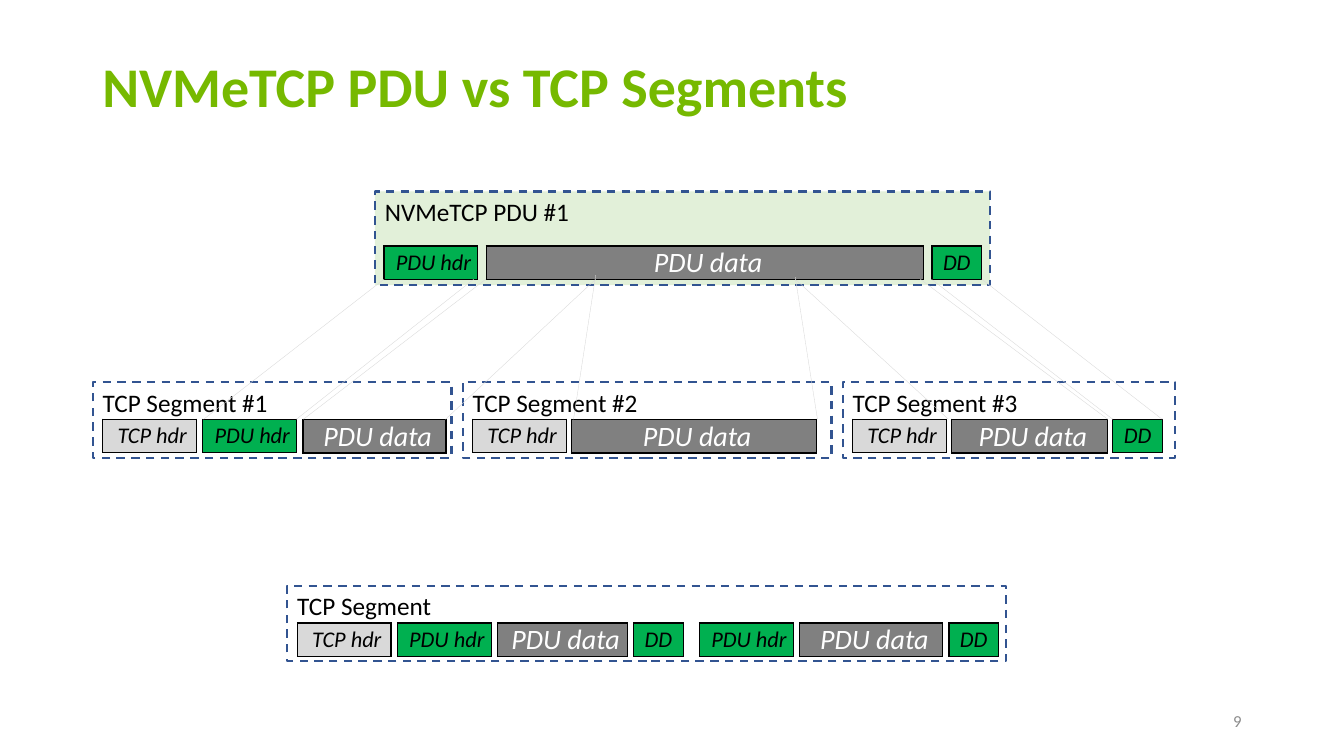
"""Builds the slide that compares an NVMeTCP PDU with TCP segments."""
from collections import namedtuple
from dataclasses import dataclass

from lxml import etree
from pptx import Presentation
from pptx import util as u
from pptx.dml.color import RGBColor
from pptx.enum import dml, shapes, text
from pptx.oxml import ns

COLUMNS, ROWS = 160, 90
UNIT = u.Inches(1) / 12
Box = namedtuple("Box", "left top width height")
Field = namedtuple("Field", "label width fill ink size anchor")


@dataclass(frozen=True)
class Theme:
    """Colours and type sizes of the slide."""
    font: str = "Calibri"
    title: str = "76B900"
    number: str = "8C8C8C"
    frame: str = "325491"
    pdu: str = "E2F0D9"
    green: str = "00B050"
    gray: str = "808080"
    pale: str = "D9D9D9"
    black: str = "000000"
    white: str = "FFFFFF"
    title_size: int = 40
    data_size: int = 20
    label_size: int = 18
    header_size: int = 16
    number_size: int = 12


THEME = Theme()
FIELD_HEIGHT = 4
TCP = Field(" TCP hdr", 11.16, THEME.pale, THEME.black, THEME.header_size, text.MSO_ANCHOR.MIDDLE)
HDR = TCP._replace(label=" PDU hdr", fill=THEME.green)
DIGEST = HDR._replace(label="DD", width=5.88)
GAP = Field("", 0.45, "", "", 0, None)


def data(width):
    """Return a PDU data field of the given width."""
    return Field(" PDU data", width, THEME.gray, THEME.white, THEME.data_size, text.MSO_ANCHOR.TOP)


def emu(*units):
    """Turn grid units into slide lengths."""
    return [u.Emu(round(unit * UNIT)) for unit in units]


def write(frame, words, size, color, align=text.PP_ALIGN.LEFT, bold=False, italic=False):
    """Put one styled paragraph in a text frame."""
    frame.word_wrap = True
    para = frame.paragraphs[0]
    para.text = words
    para.alignment = align
    font = para.runs[0].font
    font.name, font.size = THEME.font, u.Pt(size)
    font.bold, font.italic = bold, italic
    font.color.rgb = RGBColor.from_string(color)
    return para


def add_text(page, box, words, size, color, **style):
    """Place a vertically centred text box."""
    frame = page.shapes.add_textbox(*emu(*box)).text_frame
    frame.vertical_anchor = text.MSO_ANCHOR.MIDDLE
    return write(frame, words, size, color, **style)


def border(cell):
    """Draw a thin black line on every side of a cell."""
    props = cell._tc.get_or_add_tcPr()
    for place, side in enumerate(("lnL", "lnR", "lnT", "lnB")):
        line = etree.Element(ns.qn("a:" + side), w=str(u.Pt(1)))
        fill = etree.SubElement(line, ns.qn("a:solidFill"))
        etree.SubElement(fill, ns.qn("a:srgbClr"), val=THEME.black)
        props.insert(place, line)


def add_field(page, field, left, top):
    """Place one packet field as a single-cell table."""
    area = emu(left, top, field.width, FIELD_HEIGHT)
    table = page.shapes.add_table(1, 1, *area).table
    table.first_row = table.horz_banding = False
    cell = table.cell(0, 0)
    cell.margin_left = cell.margin_right = cell.margin_top = cell.margin_bottom = 0
    cell.vertical_anchor = field.anchor
    cell.fill.solid()
    cell.fill.fore_color.rgb = RGBColor.from_string(field.fill)
    border(cell)
    write(cell.text_frame, field.label, field.size, field.ink,
          align=text.PP_ALIGN.CENTER, italic=True)


def add_packet(page, box, label, fields, gap, drop=4.44, inset=1.2, fill=None):
    """Draw a dashed packet frame and lay its fields out from the left."""
    frame = page.shapes.add_shape(shapes.MSO_SHAPE.RECTANGLE, *emu(*box))
    frame.shadow.inherit = False
    if fill:
        frame.fill.solid()
        frame.fill.fore_color.rgb = RGBColor.from_string(fill)
    else:
        frame.fill.background()
    frame.line.color.rgb = RGBColor.from_string(THEME.frame)
    frame.line.width = u.Pt(1.5)
    frame.line.dash_style = dml.MSO_LINE.DASH
    frame.text_frame.vertical_anchor = text.MSO_ANCHOR.TOP
    write(frame.text_frame, label, THEME.label_size, THEME.black)
    left = box.left + inset
    for field in fields:
        if field.label:
            add_field(page, field, left, box.top + drop)
        left += field.width + gap


def add_links(page, box, links):
    """Join the PDU parts above the box to the segment parts below it."""
    for start, end, rise in links:
        ends = emu(box.left + start, box.top - rise, box.left + end, box.top + box.height)
        line = page.shapes.add_connector(shapes.MSO_CONNECTOR.STRAIGHT, *ends)
        line.line.color.rgb = RGBColor.from_string(THEME.pale)
        line.line.width = u.Pt(0.25)
        etree.SubElement(line._element.spPr, ns.qn("a:effectLst"))


def add_heading(page, box):
    """Write the slide title."""
    para = add_text(page, box, "NVMeTCP PDU vs TCP Segments",
                    THEME.title_size, THEME.title, bold=True)
    para.line_spacing = 0.9


def add_segments(page, box):
    """Draw the three segments that carry one PDU."""
    segments = [
        (0, 42.72, 0.75, [TCP, HDR, data(17.04)]),
        (44.04, 43.92, 0.6, [TCP, data(29.16)]),
        (89.28, 39.6, 0.6, [TCP, data(18.6), DIGEST]),
    ]
    for number, (offset, width, gap, fields) in enumerate(segments, 1):
        area = box._replace(left=box.left + offset, width=width)
        add_packet(page, area, f"TCP Segment #{number}", fields, gap)


def main():
    """Build and save the deck."""
    deck = Presentation()
    deck.slide_width, deck.slide_height = emu(COLUMNS, ROWS)
    page = deck.slides.add_slide(deck.slide_layouts[6])
    add_heading(page, Box(11, 4.8, 138, 11.76))
    add_packet(page, Box(44.64, 22.8, 73.2, 11.16), "NVMeTCP PDU #1",
               [HDR, data(52.08), DIGEST], 1, drop=6.48, inset=1.08, fill=THEME.pdu)
    add_segments(page, Box(11.04, 45.48, 128.88, 9))
    add_links(page, Box(24.24, 33.24, 114.12, 16.68), [
        (21.48, 0, 0), (32.16, 11.04, 0), (33.6, 11.88, 0), (46.68, 28.8, 0),
        (46.68, 44.04, 0.48), (70.44, 73.08, 0.24), (70.44, 88.68, 0),
        (85.32, 107.64, 0), (86.64, 108.24, 0), (92.64, 114.12, 0),
    ])
    add_packet(page, Box(34.2, 69.72, 85.56, 9), "TCP Segment",
               [TCP, HDR, data(15.48), DIGEST, GAP, HDR, data(17.04), DIGEST], 0.75)
    add_text(page, Box(113, 83.4, 36, 4.8), "9", THEME.number_size, THEME.number,
             align=text.PP_ALIGN.RIGHT)
    deck.save("out.pptx")


main()
